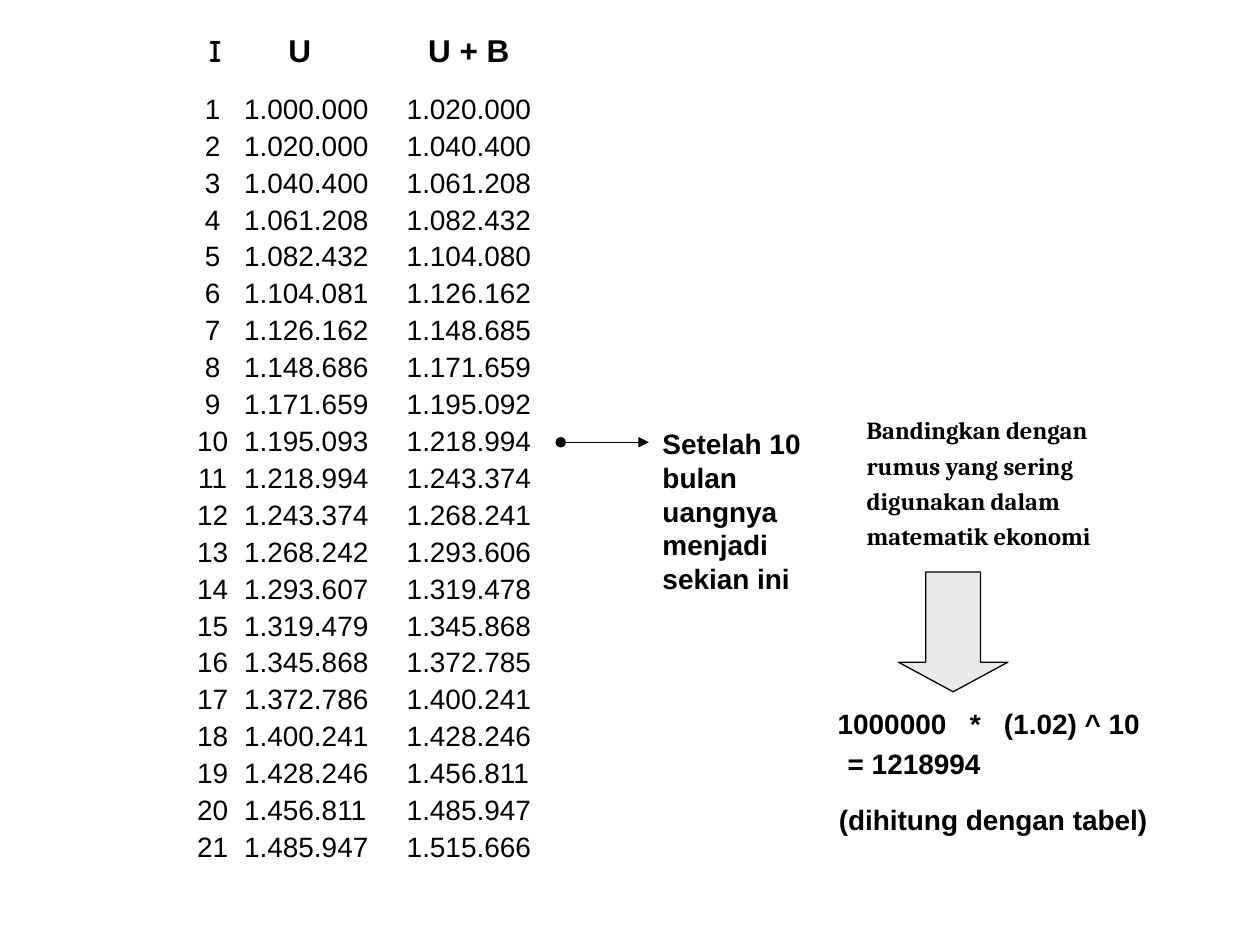
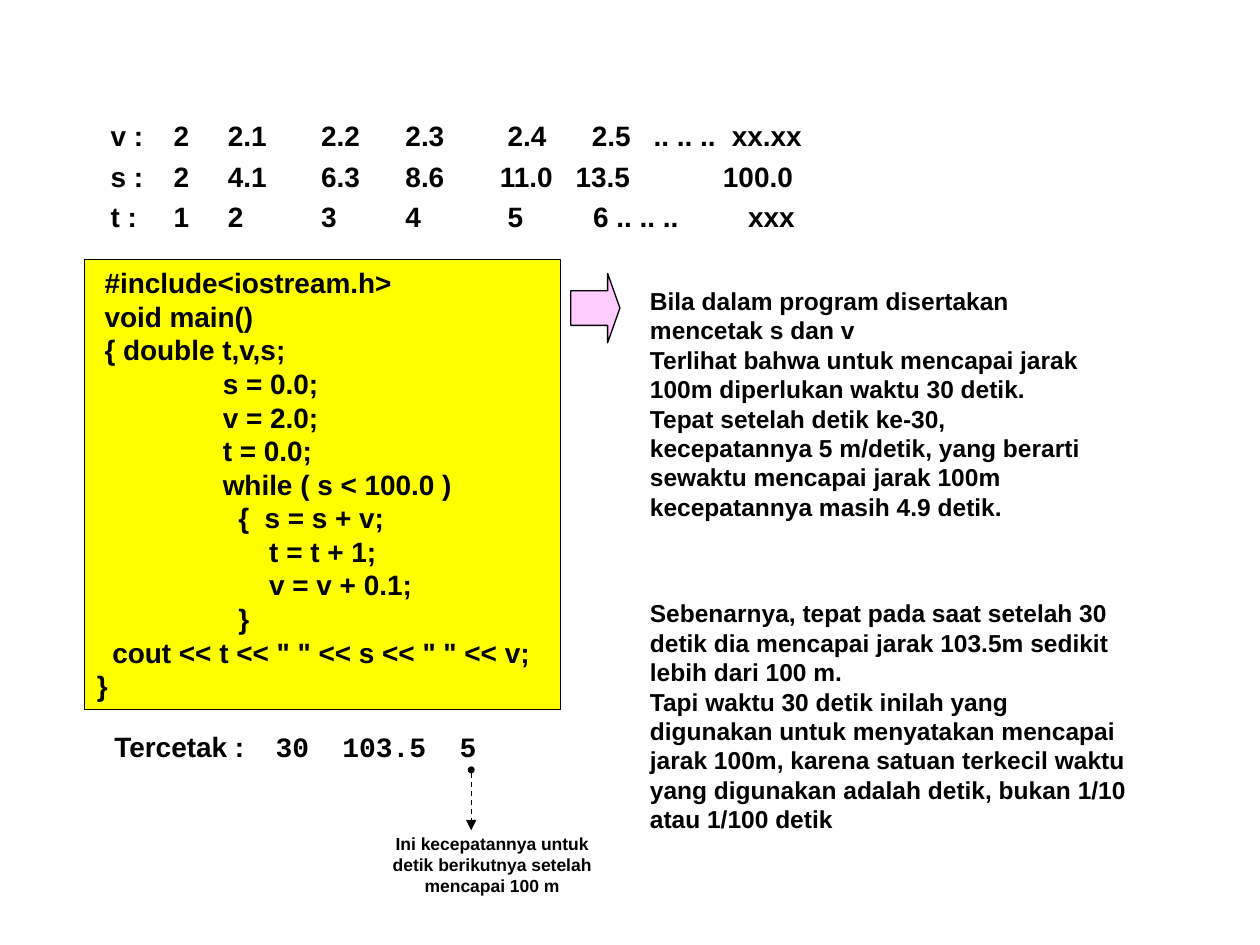
from dataclasses import dataclass

from lxml.etree import SubElement
from pptx import Presentation
from pptx.dml.color import RGBColor
from pptx.enum.dml import MSO_LINE_DASH_STYLE as Dash
from pptx.enum.shapes import MSO_CONNECTOR as Connector, MSO_SHAPE as Shape
from pptx.enum.text import MSO_ANCHOR as Anchor, PP_ALIGN as Align
from pptx.oxml.ns import qn
from pptx.util import Inches, Pt


@dataclass(frozen=True)
class Theme:
    ink: RGBColor = RGBColor(0, 0, 0)
    code_fill: RGBColor = RGBColor(0xFF, 0xFF, 0)
    gray: RGBColor = RGBColor(0xEA, 0xEA, 0xEA)
    pink: RGBColor = RGBColor(0xFF, 0xCC, 0xFF)
    sans: str = "Arial"
    serif: str = "Cambria"
    comic: str = "Comic Neue"
    mono: str = "Courier New"
    heading: Pt = Pt(18)
    body: Pt = Pt(16)
    note: Pt = Pt(14)
    caption: Pt = Pt(10)
    outline: Pt = Pt(0.75)


theme = Theme()


def write(frame, lines, stops=(), spacing=None, align=Align.LEFT, **font):
    frame.word_wrap = True
    frame.vertical_anchor = Anchor.TOP
    for index, line in enumerate(lines):
        paragraph = frame.paragraphs[0] if index == 0 else frame.add_paragraph()
        for name, value in {"alignment": align, "line_spacing": spacing}.items():
            setattr(paragraph, name, value)
        if stops:
            tabs = SubElement(paragraph._p.get_or_add_pPr(), qn("a:tabLst"))
            for position, kind in stops:
                SubElement(tabs, qn("a:tab"), pos=str(Inches(position)), algn=kind)
        run = paragraph.add_run()
        run.text = line
        values = {"name": theme.sans, "size": theme.body, "bold": True} | font
        for name, value in values.items():
            setattr(run.font, name, value)
        run.font.color.rgb = theme.ink


def add_text(slide, place, lines, **style):
    box = slide.shapes.add_textbox(*map(Inches, place))
    write(box.text_frame, lines, **style)
    return box


presentation = Presentation()
presentation.slide_width, presentation.slide_height = Inches(10), Inches(7.5)
blank = presentation.slide_layouts[6]
savings = presentation.slides.add_slide(blank)
running = presentation.slides.add_slide(blank)

balances = []
for month in range(1, 22):
    debt = round(10**6 * 102 ** (month - 1) / 100 ** (month - 1))
    debt_with_interest = 10**6 * 102**month // 100**month
    balances.append(f"\t{month}\t{debt:,}\t{debt_with_interest:,}".replace(",", "."))
add_text(savings, (1.46, 0.65, 3, 6.25), balances, spacing=1.1, bold=False,
         stops=[(0.13, "ctr"), (0.38, "l"), (1.67, "l")])

for heading, left, width, name in [
    ("I", 1.56, 0.35, theme.comic),
    ("U", 2.19, 0.5, theme.sans),
    ("U + B", 3.3, 1.1, theme.sans),
]:
    add_text(savings, (left, 0.2, width, 0.4), [heading],
             name=name, size=theme.heading)

add_text(savings, (5.16, 3.34, 1.44, 1.44),
         ["Setelah 10 bulan uangnya menjadi sekian ini"])
add_text(savings, (6.78, 3.2, 2.47, 1.22),
         ["Bandingkan dengan rumus yang sering digunakan dalam matematik ekonomi"],
         spacing=1.2, name=theme.serif, size=theme.note)
add_text(savings, (6.55, 5.56, 2.8, 0.37), ["1000000\t*\t(1.02) ^ 10"],
         stops=[(1.05, "l"), (1.32, "l")])
for result, left, top, width in [
    ("= 1218994", 6.63, 5.88, 1.5),
    ("(dihitung dengan tabel)", 6.56, 6.32, 2.9),
]:
    add_text(savings, (left, top, width, 0.37), [result])

for row, (series, positions) in enumerate([
    ("v :\t2\t2.1\t2.2\t2.3\t2.4\t2.5\t.. .. ..\txx.xx", [3.15, 3.82, 4.31, 4.93]),
    ("s :\t2\t4.1\t6.3\t8.6\t11.0\t13.5\t100.0", [3.09, 3.69, 4.86]),
    ("t :\t1\t2\t3\t4\t5\t6 .. .. ..\txxx", [3.15, 3.83, 5.06]),
]):
    stops = [(position, "l") for position in [0.5, 0.93, 1.67, 2.34] + positions]
    add_text(running, (0.78, 0.84 + 0.32 * row, 6, 0.42), [series],
             stops=stops, spacing=1.2)

code = """ #include<iostream.h>
 void main()
 { double t,v,s;
\ts = 0.0;
\tv = 2.0;
\tt = 0.0;
\twhile ( s < 100.0 )
\t  {  s = s + v;
\t      t = t + 1;
\t      v = v + 0.1;
\t  }
  cout << t << " " << s << " " << v;
}"""

for slide, kind, place, fill, adjustments, lines in [
    (savings, Shape.DOWN_ARROW, (7.13, 4.54, 0.87, 0.95), theme.gray, (0.5, 0.27), []),
    (running, Shape.RECTANGLE, (0.67, 2.06, 3.78, 3.57), theme.code_fill, (),
     code.split("\n")),
    (running, Shape.RIGHT_ARROW, (4.53, 2.17, 0.39, 0.55), theme.pink, (0.5, 0.25), []),
]:
    shape = slide.shapes.add_shape(kind, *map(Inches, place))
    shape.shadow.inherit = False
    shape.fill.solid()
    shape.fill.fore_color.rgb = fill
    shape.line.color.rgb = theme.ink
    shape.line.width = theme.outline
    for index, value in enumerate(adjustments):
        shape.adjustments[index] = value
    write(shape.text_frame, lines, stops=[(1, "l")])

printed = add_text(running, (0.81, 5.74, 3.3, 0.37), ["Tercetak :"],
                   stops=[(1.28, "l"), (1.81, "l"), (2.74, "l")])
output = printed.text_frame.paragraphs[0].add_run()
output.text = "\t30\t103.5\t5"
for name, value in {"name": theme.mono, "size": theme.body, "bold": True}.items():
    setattr(output.font, name, value)
output.font.color.rgb = theme.ink

add_text(running, (5.06, 2.22, 3.88, 1.97), [
    "Bila dalam program disertakan mencetak s dan v",
    "Terlihat bahwa untuk mencapai jarak 100m diperlukan waktu 30 detik.",
    "Tepat setelah detik ke-30, kecepatannya 5 m/detik, yang berarti sewaktu "
    "mencapai jarak 100m kecepatannya masih 4.9 detik.",
], size=theme.note)
add_text(running, (5.06, 4.7, 4.04, 1.97), [
    "Sebenarnya, tepat pada saat setelah 30 detik dia mencapai jarak 103.5m "
    "sedikit lebih dari 100 m.",
    "Tapi waktu 30 detik inilah yang digunakan untuk menyatakan mencapai jarak "
    "100m, karena satuan terkecil waktu yang digunakan adalah detik, bukan 1/10 "
    "atau 1/100 detik",
], size=theme.note)
add_text(running, (2.95, 6.56, 1.91, 0.6),
         ["Ini kecepatannya untuk detik berikutnya setelah mencapai 100 m"],
         align=Align.CENTER, size=theme.caption)

for slide, ends, dash, dot_size in [
    (savings, (4.45, 3.51, 5.15, 3.51), Dash.SOLID, "med"),
    (running, (3.74, 6.11, 3.74, 6.59), Dash.DASH, "sm"),
]:
    pointer = slide.shapes.add_connector(Connector.STRAIGHT, *map(Inches, ends))
    pointer.line.color.rgb = theme.ink
    pointer.line.width = theme.outline
    pointer.line.dash_style = dash
    outline = pointer.line._get_or_add_ln()
    SubElement(outline, qn("a:headEnd"), type="oval", w=dot_size, len=dot_size)
    SubElement(outline, qn("a:tailEnd"), type="triangle")
    SubElement(pointer._element.spPr, qn("a:effectLst"))

presentation.save("out.pptx")
